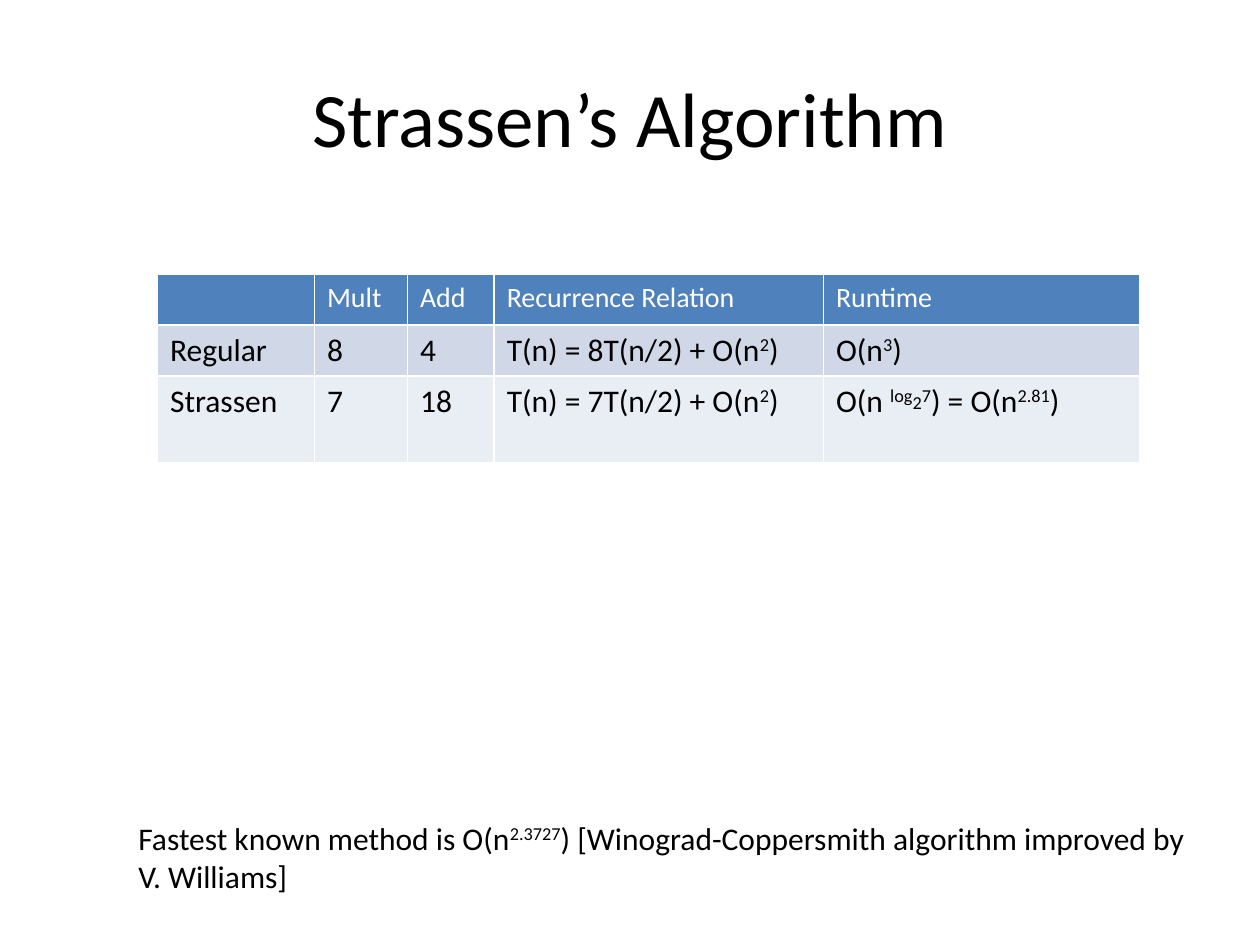
from pptx import Presentation
from pptx import util as u
from pptx.dml.color import RGBColor
from pptx.enum import text

BLACK = RGBColor(0, 0, 0)
WHITE = RGBColor(255, 255, 255)
BLUE = RGBColor(0x4F, 0x81, 0xBD)
BANDS = RGBColor(0xD0, 0xD8, 0xE8), RGBColor(0xE9, 0xED, 0xF4)
FONT = "Calibri"
WIDE, HIGH = u.Inches(10), u.Inches(7.5)

COLS = 1.25, 0.74, 0.69, 2.62, 2.52
ROWS = 0.41, 0.41, 0.7
# A cell is a list of pieces: plain text, or (text, raise in percent).
HEADS = [[], ["Mult"], ["Add"], ["Recurrence Relation"], ["Runtime"]]
BODY = [
    [["Regular"], ["8"], ["4"],
     ["T(n) = 8T(n/2) + O(n", ("2", 30), ")"],
     ["O(n", ("3", 30), ")"]],
    [["Strassen"], ["7"], ["18"],
     ["T(n) = 7T(n/2) + O(n", ("2", 30), ")"],
     ["O(n ", ("log", 30), ("2", 10), ("7", 30), ") = O(n", ("2.81", 30), ")"]],
]
NOTE = ["Fastest known method is O(n", ("2.3727", 30),
        ") [Winograd-Coppersmith algorithm improved by V. Williams]"]


def share(x, y, w, h):
    """Turn shares of the slide into a box."""
    return [u.Emu(int(v)) for v in (x * WIDE, y * HIGH, w * WIDE, h * HIGH)]


def style(font, size, color):
    font.name, font.size, font.bold = FONT, u.Pt(size), False
    font.color.rgb = color


def write(para, parts, size, color=BLACK):
    """Fill a paragraph with plain and raised pieces."""
    style(para.font, size, color)
    for part in parts:
        word, base = (part, 0) if isinstance(part, str) else part
        run = para.add_run()
        run.text = word
        style(run.font, size, color)
        if base:
            run.font._element.set("baseline", str(base * 1000))


def add_title(slide, box):
    title = slide.shapes.title
    title.left, title.top, title.width, title.height = box
    frame = title.text_frame
    frame.vertical_anchor = text.MSO_ANCHOR.MIDDLE
    para = frame.paragraphs[0]
    para.alignment = text.PP_ALIGN.CENTER
    write(para, ["Strassen’s Algorithm"], 44)


def add_costs(slide, box):
    """Add the cost table, with columns and rows scaled to the box."""
    grid = slide.shapes.add_table(len(ROWS), len(COLS), *box).table
    for lane, part in zip(grid.columns, COLS):
        lane.width = int(box[2] * part / sum(COLS))
    for lane, part in zip(grid.rows, ROWS):
        lane.height = int(box[3] * part / sum(ROWS))
    for r, row in enumerate([HEADS] + BODY):
        fill, size, color = (BANDS[r - 1], 18, BLACK) if r else (BLUE, 16, WHITE)
        for c, parts in enumerate(row):
            cell = grid.cell(r, c)
            cell.fill.solid()
            cell.fill.fore_color.rgb = fill
            write(cell.text_frame.paragraphs[0], parts, size, color)


def add_note(slide, box):
    frame = slide.shapes.add_textbox(*box).text_frame
    frame.word_wrap = True
    frame.auto_size = text.MSO_AUTO_SIZE.SHAPE_TO_FIT_TEXT
    write(frame.paragraphs[0], NOTE, 18)


def main():
    deck = Presentation()
    deck.slide_width, deck.slide_height = WIDE, HIGH
    slide = deck.slides.add_slide(deck.slide_layouts[5])
    add_title(slide, share(0.05, 0.04, 0.9, 1 / 6))
    add_costs(slide, share(0.125, 0.29, 0.78, 0.2))
    add_note(slide, share(0.1, 0.86, 0.85, 0.09))
    deck.save("out.pptx")


if __name__ == "__main__":
    main()
